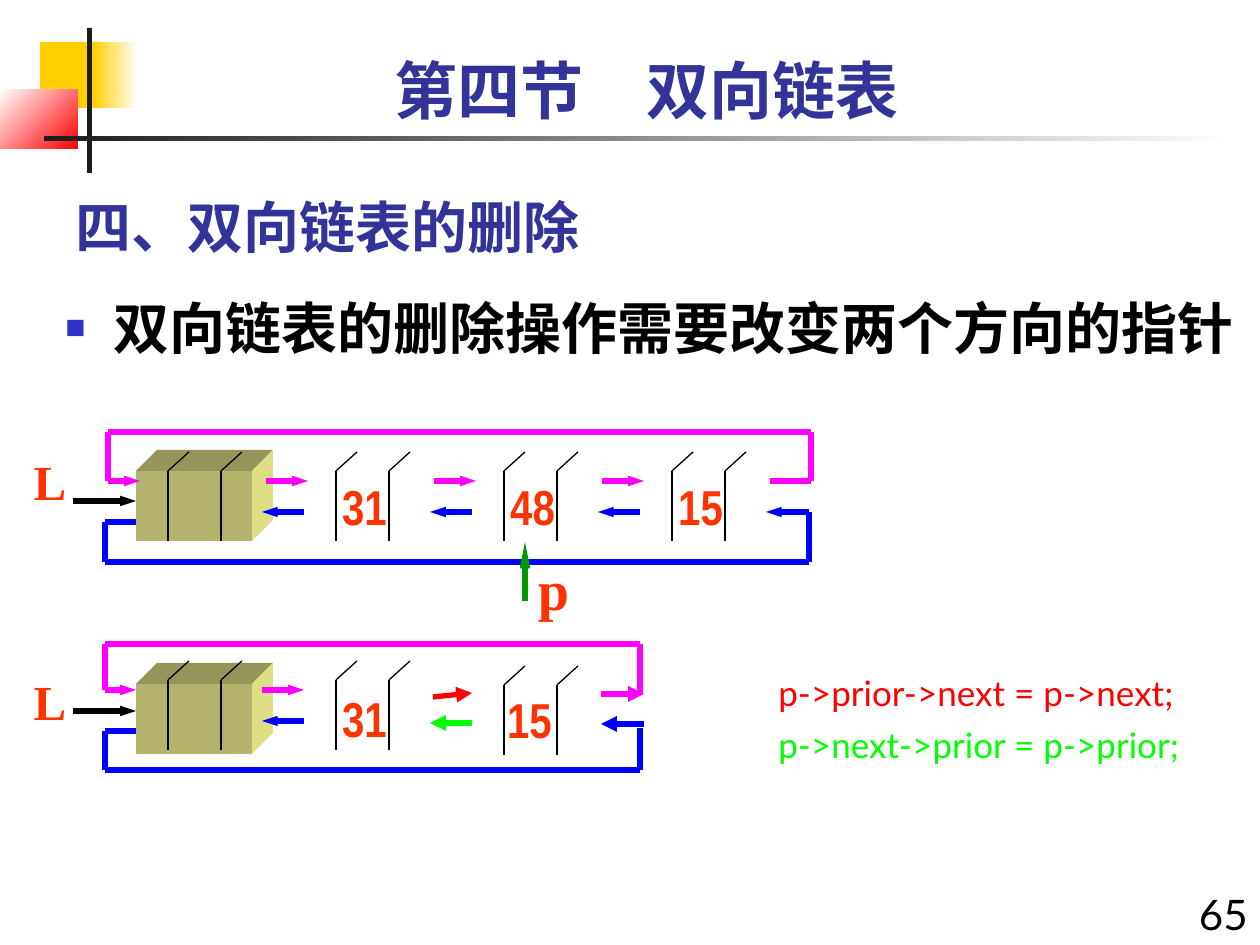
from lxml import etree
from pptx import Presentation
from pptx.dml.color import RGBColor
from pptx.enum.shapes import MSO_CONNECTOR, MSO_SHAPE
from pptx.enum.text import MSO_ANCHOR, PP_ALIGN
from pptx.oxml.ns import qn
from pptx.util import Pt

SCALE = 914400 / 126  # EMU per px

WHITE = RGBColor(0xFF, 0xFF, 0xFF)
BLACK = RGBColor(0, 0, 0)
CHARCOAL = RGBColor(0x1C, 0x1C, 0x1C)
YELLOW = RGBColor(0xFF, 0xCF, 0x01)
RED = RGBColor(0xFF, 0, 0)
INDIGO = RGBColor(0x33, 0x33, 0x99)
BULLET_BLUE = RGBColor(0x33, 0x33, 0xCC)
ORANGE = RGBColor(0xFF, 0x33, 0)
BLUE = RGBColor(0, 0, 0xFF)
MAGENTA = RGBColor(0xFF, 0, 0xFF)
GREEN = RGBColor(0, 0xFF, 0)
DARK_GREEN = RGBColor(0, 0x99, 0)
BOX_FRONT = RGBColor(0xB3, 0xB3, 0x6B)
BOX_TOP = RGBColor(0x95, 0x95, 0x5A)
BOX_SIDE = RGBColor(0xDE, 0xDE, 0x84)

SANS, SERIF, NARROW, CJK = "Lato", "Times New Roman", "Arial Narrow", "Noto Sans CJK SC"

# left, top, width, height, first colour, second colour, angle
DECORATION = [
    (40, 42, 61, 66, YELLOW, None, 0),
    (93, 42, 45, 66, YELLOW, WHITE, 0),
    (0, 90, 78, 59, WHITE, RED, 315),
    (87, 28, 5, 145, CHARCOAL, None, 0),
    (44, 136, 1190, 5, CHARCOAL, WHITE, 0),
]

# left, top, width, height, [(text, colour)], size, font, bold, alignment, anchor
TOP, MIDDLE, BOTTOM = MSO_ANCHOR.TOP, MSO_ANCHOR.MIDDLE, MSO_ANCHOR.BOTTOM
LEFT, CENTER, RIGHT = PP_ALIGN.LEFT, PP_ALIGN.CENTER, PP_ALIGN.RIGHT
TEXTS = [
    (63, 171, 788, 95, [("四、双向链表的删除", INDIGO)], 32, CJK, True, LEFT, BOTTOM),
    (1176, 882, 84, 63, [("65", BLACK)], 24, SANS, False, RIGHT, TOP),
    (63, 45, 1166, 88, [("第四节　双向链表", INDIGO)], 36, SANS, True, CENTER, TOP),
    (766, 665, 494, 110, [("p->prior->next = p->next;", RED),
                          ("p->next->prior = p->prior;", GREEN)], 20, SANS, False, LEFT, TOP),
]
BODY = (53, 287, 1207, 210, [("双向链表的删除操作需要改变两个方向的指针", BLACK)],
        32, SANS, True, LEFT, TOP)

# text, left, top, width, height, size, font
LABELS = [
    ("L", 21, 445, 58, 72, 28, SERIF),
    ("p", 525, 549, 57, 79, 32, SERIF),
    ("L", 21, 665, 58, 72, 28, SERIF),
    ("31", 329, 470, 71, 72, 28, NARROW),
    ("48", 497, 470, 71, 72, 28, NARROW),
    ("15", 665, 470, 71, 72, 28, NARROW),
    ("31", 329, 682, 71, 72, 28, NARROW),
    ("15", 494, 683, 71, 72, 28, NARROW),
]

PITCH = 168  # distance between list nodes
HEAD_BOXES = [(136, 471), (136, 684)]
NODES = [(PITCH * i, 471) for i in (1, 2, 3, 4)] + [(168, 680), (336, 680), (504, 685)]

# Arrowhead width and length
SLIM, LONG, WIDE = ("sm", "med"), ("sm", "lg"), ("med", "med")

# colour, arrowhead at the last point, points
ROUTES = [
    # Upper list
    (BLACK, SLIM, [(73, 501), (136, 501)]),
    (BLUE, SLIM, [(136, 522), (105, 522), (105, 562), (809, 562), (809, 512), (766, 512)]),
    (MAGENTA, SLIM, [(770, 481), (811, 481), (811, 432), (108, 432), (108, 481), (140, 481)]),
    *[(BLUE, SLIM, [(304 + PITCH * i, 512), (262 + PITCH * i, 512)]) for i in range(3)],
    *[(MAGENTA, SLIM, [(266 + PITCH * i, 481), (308 + PITCH * i, 481)]) for i in range(3)],
    (DARK_GREEN, LONG, [(525, 601), (525, 542)]),
    # Lower list, after the deletion
    (BLACK, SLIM, [(73, 711), (136, 711)]),
    (BLUE, None, [(136, 731), (105, 731), (105, 770), (640, 770), (640, 728)]),
    (MAGENTA, SLIM, [(640, 694), (640, 644), (105, 644), (105, 690), (136, 690)]),
    (BLUE, SLIM, [(304, 721), (262, 721)]),
    (MAGENTA, SLIM, [(262, 690), (304, 690)]),
    (BLUE, WIDE, [(644, 724), (601, 724)]),
    (MAGENTA, WIDE, [(601, 694), (644, 694)]),
    (GREEN, WIDE, [(472, 723), (430, 723)]),
    (RED, WIDE, [(433, 697), (472, 693)]),
]


def px(*lengths):
    return [round(length * SCALE) for length in lengths]


def add_block(slide, left, top, width, height, first, second, angle):
    shape = slide.shapes.add_shape(MSO_SHAPE.RECTANGLE, *px(left, top, width, height))
    shape.shadow.inherit = False
    shape.line.fill.background()
    if second is None:
        shape.fill.solid()
        shape.fill.fore_color.rgb = first
    else:
        shape.fill.gradient()
        shape.fill.gradient_angle = angle
        for stop, colour in zip(shape.fill.gradient_stops, (first, second)):
            stop.color.rgb = colour


def add_text(slide, left, top, width, height, lines, size, font, bold, alignment, anchor,
             wrap=True, bullet=False):
    box = slide.shapes.add_textbox(*px(left, top, width, height))
    frame = box.text_frame
    frame.word_wrap = wrap
    frame.vertical_anchor = anchor
    frame.text = "\n".join(text for text, _ in lines)
    for index, (paragraph, (_, colour)) in enumerate(zip(frame.paragraphs, lines)):
        paragraph.alignment = alignment
        if index:
            paragraph.space_before = Pt(size * 0.3)
        if bullet:
            add_bullet(paragraph)
        run = paragraph.runs[0]
        run.font.size = Pt(size)
        run.font.name = font
        run.font.bold = bold
        run.font.color.rgb = colour
        etree.SubElement(run.font._element, qn("a:ea"), typeface=CJK)


def add_bullet(paragraph):
    properties = paragraph._p.get_or_add_pPr()
    indent = px(48)[0]
    properties.set("marL", str(indent))
    properties.set("indent", str(-indent))
    colour = etree.SubElement(properties, qn("a:buClr"))
    etree.SubElement(colour, qn("a:srgbClr"), val=str(BULLET_BLUE))
    etree.SubElement(properties, qn("a:buSzPct"), val="60000")
    etree.SubElement(properties, qn("a:buFont"), typeface="Arial")
    etree.SubElement(properties, qn("a:buChar"), char="■")


def add_route(slide, colour, width, points, arrow=None):
    for start, end in zip(points, points[1:]):
        line = slide.shapes.add_connector(MSO_CONNECTOR.STRAIGHT, *px(*start, *end))
        line.line.color.rgb = colour
        line.line.width = Pt(width)
        etree.SubElement(line._element.spPr, qn("a:effectLst"))
    if arrow:
        etree.SubElement(line.line._get_or_add_ln(), qn("a:tailEnd"),
                         type="triangle", w=arrow[0], len=arrow[1])


def add_head_box(slide, left, top):
    right, bottom, depth = left + 116, top + 70, 21
    faces = [
        (BOX_FRONT, [(left, top), (right, top), (right, bottom), (left, bottom)]),
        (BOX_TOP, [(left, top), (left + depth, top - depth),
                   (right + depth, top - depth), (right, top)]),
        (BOX_SIDE, [(right, top), (right + depth, top - depth),
                    (right + depth, bottom - depth), (right, bottom)]),
    ]
    for colour, corners in faces:
        builder = slide.shapes.build_freeform(*corners[0], scale=SCALE)
        builder.add_line_segments(corners[1:], close=True)
        face = builder.convert_to_shape()
        face.shadow.inherit = False
        face.fill.solid()
        face.fill.fore_color.rgb = colour
        face.line.fill.background()


def main():
    presentation = Presentation()
    presentation.slide_width, presentation.slide_height = px(1260, 945)
    slide = presentation.slides.add_slide(presentation.slide_layouts[6])

    # Corner ornament and headings
    for block in DECORATION:
        add_block(slide, *block)
    for text in TEXTS:
        add_text(slide, *text)
    add_text(slide, *BODY, bullet=True)

    # Head boxes and node dividers
    for box in HEAD_BOXES:
        add_head_box(slide, *box)
    for x, y in NODES:
        for wall in (x, x + 53):
            add_route(slide, BLACK, 0.75, [(wall, y + 70), (wall, y), (wall + 21, y - 19)])

    # Pointers and labels
    for colour, arrow, points in ROUTES:
        add_route(slide, colour, 3, points, arrow)
    for text, left, top, width, height, size, font in LABELS:
        add_text(slide, left, top, width, height, [(text, ORANGE)], size, font, True,
                 CENTER, MIDDLE, wrap=False)

    presentation.save("out.pptx")


if __name__ == "__main__":
    main()
